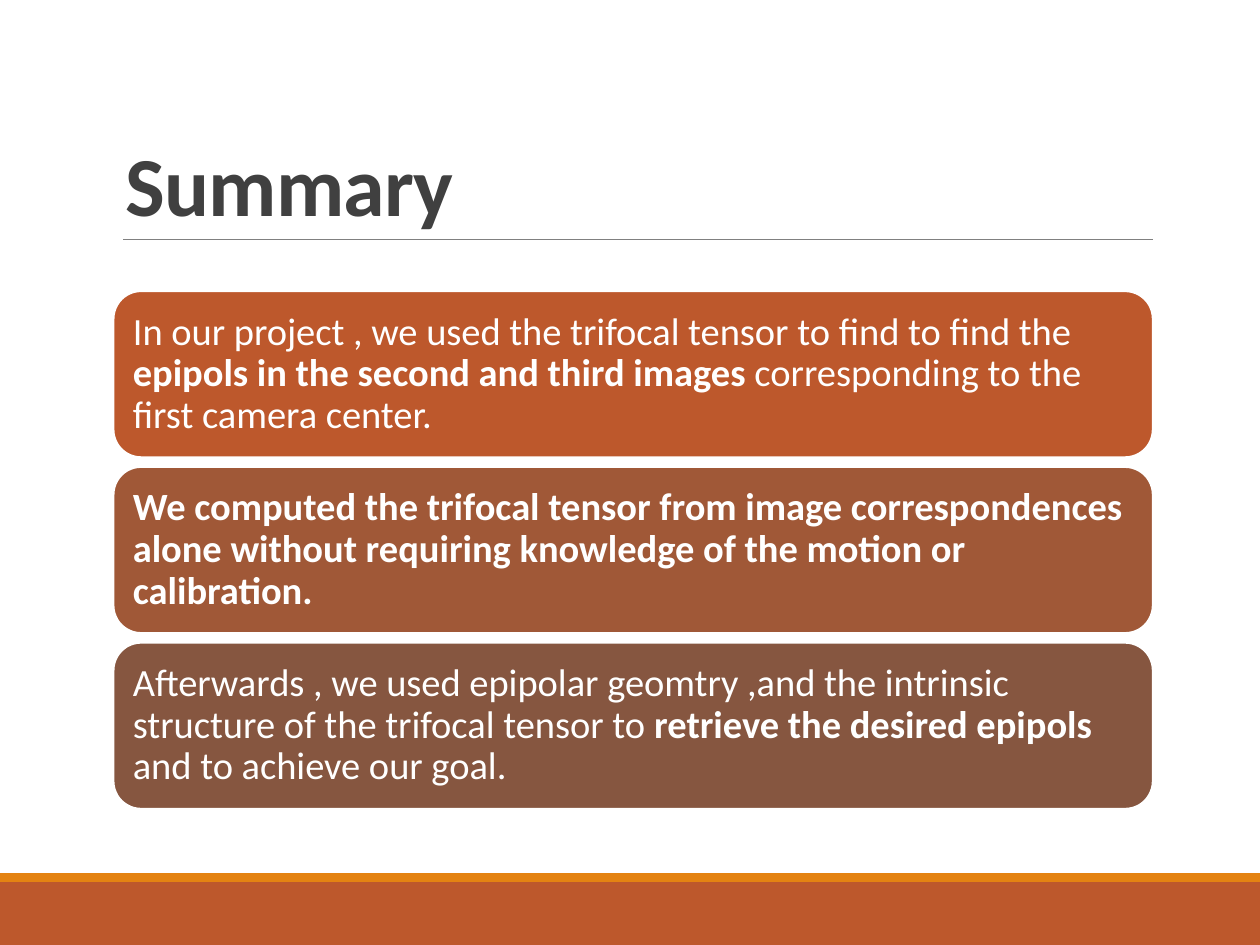
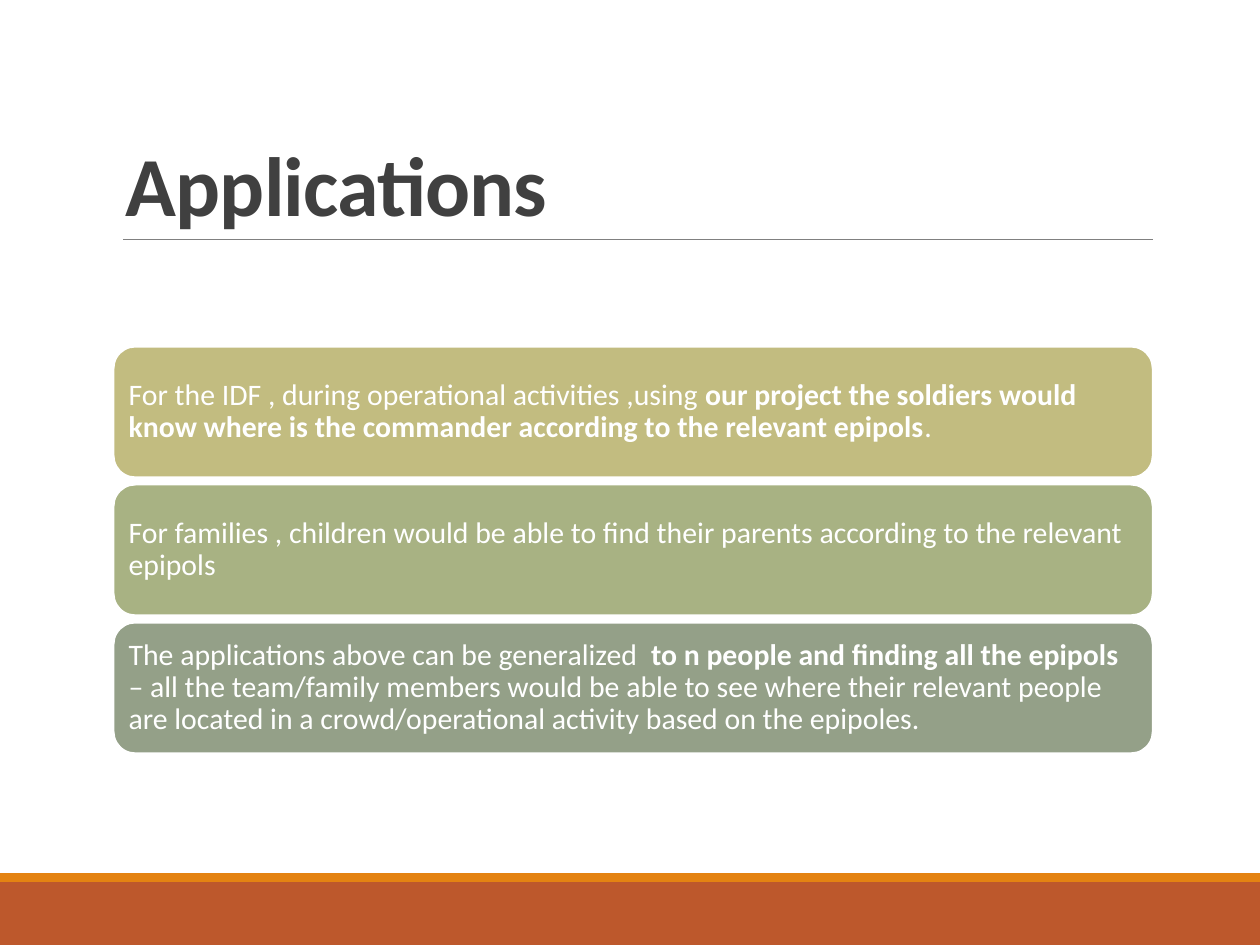
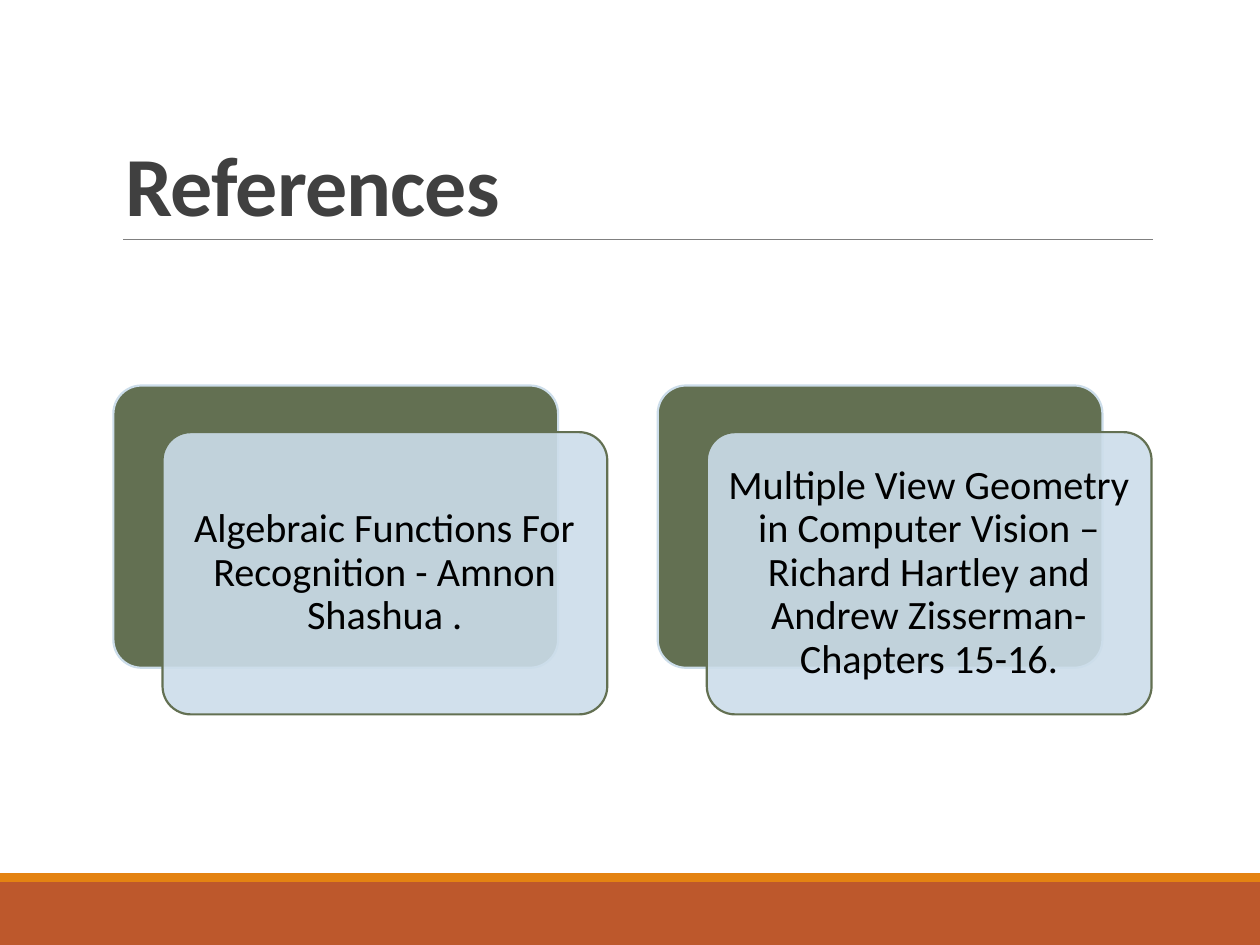
from dataclasses import dataclass

from lxml import etree
from pptx import Presentation
from pptx import util as u
from pptx.dml.color import RGBColor
from pptx.enum import shapes, text
from pptx.oxml.ns import qn


@dataclass(frozen=True)
class Theme:
    font: str = "Calibri"
    title_size: float = 48
    title: str = "404040"
    rule: str = "808080"
    band: str = "BD582C"
    stripe: str = "E48312"
    white: str = "FFFFFF"
    black: str = "000000"
    green: str = "637052"
    pale_blue: str = "CCDDEA"
    outline: float = 1.25
    reference_size: float = 23


THEME = Theme()
LEFT, WIDTH = 0.9, 8.25

# A statement is a fill colour and runs of (text, bold).
STATEMENT_SLIDES = [
    {
        "title": "Summary",
        "top": 2.31, "bottom": 6.42, "height": 1.32, "inset": 0.09, "size": 22,
        "statements": [
            ("BD582C", [
                ("In our project , we used the trifocal tensor to find to find the ", False),
                ("epipols in the second and third images", True),
                (" corresponding to the first camera center.", False),
            ]),
            ("A05837", [
                ("We computed the trifocal tensor from image correspondences alone "
                 "without requiring knowledge of the motion or calibration.", True),
            ]),
            ("865640", [
                ("Afterwards , we used epipolar geomtry ,and the intrinsic structure "
                 "of the trifocal tensor to ", False),
                ("retrieve the desired epipols ", True),
                ("and to achieve our goal.", False),
            ]),
        ],
    },
    {
        "title": "Applications",
        "top": 2.75, "bottom": 5.98, "height": 1.04, "inset": 0.07, "size": 17,
        "statements": [
            ("C2BC80", [
                ("For the IDF , during operational activities ,using ", False),
                ("our project the soldiers would know where is the commander "
                 "according to the relevant epipols", True),
                (".", False),
            ]),
            ("A8B283", [
                ("For families , children would be able to find their parents "
                 "according to the relevant epipols", False),
            ]),
            ("94A088", [
                ("The applications above can be generalized  ", False),
                ("to n people and finding all the epipols", True),
                (" – all the team/family members would be able to see where their "
                 "relevant people are located in a crowd/operational activity "
                 "based on the epipoles.", False),
            ]),
        ],
    },
]

REFERENCES = [
    "Algebraic Functions For Recognition - Amnon Shashua .",
    "Multiple View Geometry in Computer Vision – Richard Hartley and "
    "Andrew Zisserman- Chapters 15-16.",
]


def color(code):
    return RGBColor.from_string(code)


def add_block(slide, preset, box, fill, line=None):
    block = slide.shapes.add_shape(preset, *map(u.Inches, box))
    block.shadow.inherit = False
    block.fill.solid()
    block.fill.fore_color.rgb = color(fill)
    if line:
        block.line.color.rgb = color(line)
        block.line.width = u.Pt(THEME.outline)
    else:
        block.line.fill.background()
    return block


def add_card(slide, box, fill, line, corner=None):
    card = add_block(slide, shapes.MSO_SHAPE.ROUNDED_RECTANGLE, box, fill, line)
    if corner:
        card.adjustments[0] = corner
    return card


def write(shape, runs, size, ink, align, spacing, anchor):
    """Fill the shape's only paragraph with (text, bold) runs."""
    frame = shape.text_frame
    frame.word_wrap = True
    frame.vertical_anchor = anchor
    paragraph = frame.paragraphs[0]
    paragraph.alignment = align
    paragraph.line_spacing = spacing
    for words, bold in runs:
        run = paragraph.add_run()
        run.text = words
        run.font.name = THEME.font
        run.font.size = u.Pt(size)
        run.font.bold = bold
        run.font.color.rgb = color(ink)
    return paragraph


def write_card(card, runs, size, ink, align, inset):
    frame = card.text_frame
    frame.margin_left = frame.margin_right = u.Inches(inset)
    frame.margin_top = frame.margin_bottom = u.Inches(inset)
    write(card, runs, size, ink, align, 0.9, text.MSO_ANCHOR.MIDDLE)


def set_opacity(shape, percent):
    rgb = shape.fill._xPr.find(qn("a:solidFill"))[0]
    etree.SubElement(rgb, qn("a:alpha")).set("val", str(percent * 1000))


def add_titled_slide(deck, title):
    """Blank slide with the shared bands, rule and title."""
    slide = deck.slides.add_slide(deck.slide_layouts[6])
    rectangle = shapes.MSO_SHAPE.RECTANGLE
    add_block(slide, rectangle, (0, 7, 10, 0.5), THEME.band)
    add_block(slide, rectangle, (0, 6.93, 10, 0.07), THEME.stripe)

    rule = slide.shapes.add_connector(
        shapes.MSO_CONNECTOR.STRAIGHT, *map(u.Inches, (0.98, 1.9, 9.15, 1.9)))
    rule.line.color.rgb = color(THEME.rule)
    rule.line.width = u.Pt(0.5)
    etree.SubElement(rule._element.spPr, qn("a:effectLst"))

    heading = slide.shapes.add_textbox(*map(u.Inches, (LEFT, 0.31, WIDTH, 1.59)))
    paragraph = write(heading, [(title, True)], THEME.title_size, THEME.title,
                      text.PP_ALIGN.LEFT, 0.85, text.MSO_ANCHOR.BOTTOM)
    paragraph.runs[0].font._element.set("spc", "-50")
    return slide


def add_statements(deck, content):
    slide = add_titled_slide(deck, content["title"])
    statements, height = content["statements"], content["height"]
    pitch = (content["bottom"] - content["top"] - height) / (len(statements) - 1)
    for row, (fill, runs) in enumerate(statements):
        box = (LEFT, content["top"] + row * pitch, WIDTH, height)
        card = add_card(slide, box, fill, THEME.white)
        write_card(card, runs, content["size"], THEME.white,
                   text.PP_ALIGN.LEFT, content["inset"])


def add_references(deck):
    slide = add_titled_slide(deck, "References")
    top, width, height = 3.06, 3.53, 2.24
    pitch, shift_x, shift_y, corner = 4.32, 0.39, 0.37, 0.1
    for column, reference in enumerate(REFERENCES):
        left = LEFT + column * pitch
        add_card(slide, (left, top, width, height),
                 THEME.green, THEME.pale_blue, corner)
        front = add_card(slide, (left + shift_x, top + shift_y, width, height),
                         THEME.pale_blue, THEME.green, corner)
        set_opacity(front, 90)
        write_card(front, [(reference, False)], THEME.reference_size, THEME.black,
                   text.PP_ALIGN.CENTER, 0.1)


def main():
    deck = Presentation()
    deck.slide_width, deck.slide_height = u.Inches(10), u.Inches(7.5)
    for content in STATEMENT_SLIDES:
        add_statements(deck, content)
    add_references(deck)
    deck.save("out.pptx")


if __name__ == "__main__":
    main()
